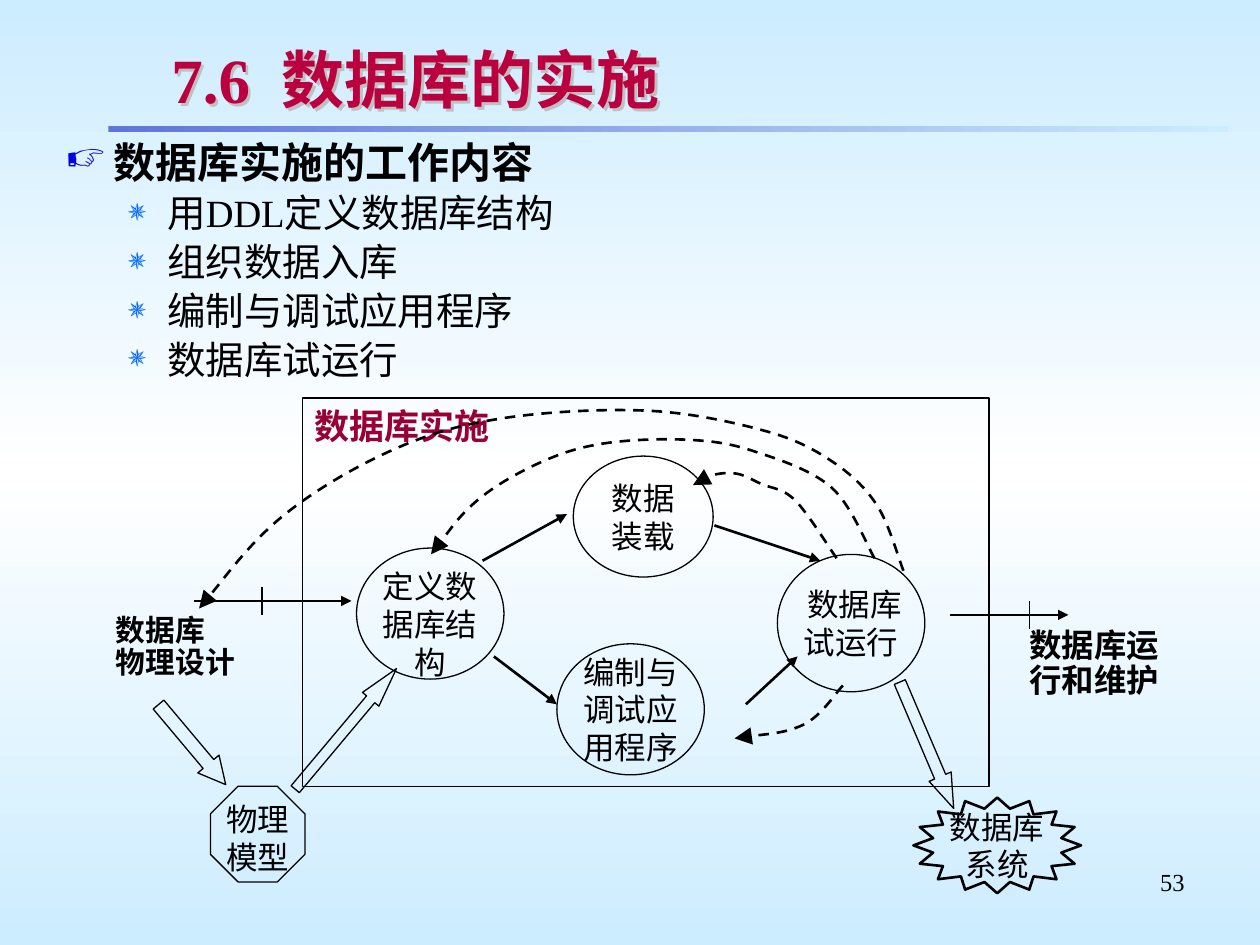
import copy
import lxml.etree
import pptx
import pptx.dml.color
import pptx.enum.dml
import pptx.enum.shapes
import pptx.enum.text
import pptx.oxml.ns
import pptx.util

Pt = pptx.util.Pt
RGB = pptx.dml.color.RGBColor
KIND = pptx.enum.shapes.MSO_SHAPE
LINE = pptx.enum.shapes.MSO_CONNECTOR.STRAIGHT
ALIGN = pptx.enum.text.PP_ALIGN
ANCHOR = pptx.enum.text.MSO_ANCHOR
DASH = pptx.enum.dml.MSO_LINE.DASH
qn = pptx.oxml.ns.qn

BLACK = RGB(0x00, 0x00, 0x00)
WHITE = RGB(0xFF, 0xFF, 0xFF)
GREY = RGB(0xC0, 0xC0, 0xC0)
SKY = RGB(0xCC, 0xEC, 0xFF)
BLUE = RGB(0x5F, 0x76, 0xD7)
RED = RGB(0xBA, 0x00, 0x3E)
WINE = RGB(0x99, 0x00, 0x33)
NAVY = RGB(0x00, 0x00, 0xE8)
AZURE = RGB(0x00, 0x66, 0xFF)

WIDE, HIGH = pptx.util.Inches(10), pptx.util.Inches(7.5)
COL, ROW = WIDE / 1000, HIGH / 750
THIN, BOLD = 0.75, 1.5

HEAD = (86, 29, 889, 76)
LIST = (42, 108, 925, 208)
CHART = (0, 300, 1000, 450)
FOOT = (717, 683, 233, 52)

TOPIC = "数据库实施的工作内容"
TASKS = ["用DDL定义数据库结构", "组织数据入库", "编制与调试应用程序", "数据库试运行"]
LEVELS = [
    dict(size=24, bold=True, left=38, hang=38, mark="☞", tint=NAVY, share=95, gap=0),
    dict(size=22, bold=False, left=81, hang=31, mark="✵", tint=AZURE, share=80, gap=4.1),
]
NODES = [
    (KIND.OVAL, (283, 135, 117, 104), ["定义数据库结构"], ANCHOR.TOP),
    (KIND.OVAL, (455, 62, 111, 96), ["数据", "装载"], ANCHOR.MIDDLE),
    (KIND.OVAL, (617, 140, 117, 109), [" 数据库", "试运行"], ANCHOR.MIDDLE),
    (KIND.OVAL, (442, 211, 117, 104), ["编制与调试应用程序"], ANCHOR.MIDDLE),
    (KIND.OCTAGON, (167, 324, 75, 76), ["物理", "模型"], ANCHOR.TOP),
]
LABELS = [
    ((92, 189, 125, 60), ["数据库", "物理设计"], 17),
    ((817, 200, 125, 66), ["数据库运", "行和维护"], 18.5),
]
FLOWS = {
    THIN: [((154, 177), (279, 177)), ((754, 188), (848, 188))],
    BOLD: [((383, 145), (450, 108)), ((567, 117), (651, 145)),
           ((392, 221), (442, 259)), ((592, 259), (633, 221))],
}
TICKS = [(208, 177), (817, 188)]
REACH = 11
BLOCKS = [
    ((111, 280, 83, 22), 50, 0.97),
    ((681, 282, 109, 19), 66.9, 1.44),
    ((212, 270, 125, 17), 310, 1.87),
]
LOOPS = {
    "load": [(664, 143), (631, 97), (604, 84), (585, 76), (566, 77), (550, 85)],
    "define": [(694, 143), (660, 87), (598, 58), (545, 49), (479, 52),
               (429, 67), (379, 97), (342, 140)],
    "design": [(717, 153), (696, 101), (660, 66), (607, 42), (514, 26),
               (399, 32), (312, 57), (224, 110), (158, 183)],
    "code": [(669, 244), (638, 275), (583, 286)],
}


def style(item, values):
    for name, value in values.items():
        setattr(item, name, value)


def spot(box, x, y):
    return round((box[0] + x) * COL), round((box[1] + y) * ROW)


def area(box, part):
    return *spot(box, *part[:2]), round(part[2] * COL), round(part[3] * ROW)


def node(host, tag, **values):
    return lxml.etree.SubElement(host, qn(tag), values)


def ramp(fill, root, tints, angle):
    fill.gradient()
    fill.gradient_angle = angle
    stops = root.xpath(".//a:gsLst")[0]
    while len(stops) < len(tints):
        stops.append(copy.deepcopy(stops[0]))
    for i, (stop, tint) in enumerate(zip(fill.gradient_stops, tints)):
        stop.position = i / (len(tints) - 1)
        stop.color.rgb = tint


def write(shape, texts, size, tint=BLACK, bold=False, align=ALIGN.LEFT,
          anchor=ANCHOR.TOP, pad=(0, 0), wrap=True, pitch=1.0):
    frame = shape.text_frame
    side, edge = round(pad[0] * COL), round(pad[1] * ROW)
    style(frame, dict(word_wrap=wrap, vertical_anchor=anchor, margin_left=side,
                      margin_right=side, margin_top=edge, margin_bottom=edge))
    frame.text = "\n".join(texts)
    for para in frame.paragraphs:
        style(para, dict(alignment=align, line_spacing=pitch))
        font = para.runs[0].font
        style(font, dict(size=Pt(size), bold=bold, name="Times New Roman"))
        font.color.rgb = tint
    return frame.paragraphs


def draw(shape, width=THIN, dash=None):
    shape.shadow.inherit = False
    shape.fill.background()
    shape.line.color.rgb = BLACK
    style(shape.line, dict(width=Pt(width), dash_style=dash))
    return shape


def tip(shape, size):
    edge = shape.element.spPr.find(qn("a:ln"))
    node(edge, "a:tailEnd", type="triangle", w=size, len=size)


def join(shapes, box, start, end, width):
    line = shapes.add_connector(LINE, *spot(box, *start), *spot(box, *end))
    line.line.color.rgb = BLACK
    line.line.width = Pt(width)
    node(line.element.spPr, "a:effectLst")
    return line


def smooth(dots):
    ends = [dots[0], *dots, dots[-1]]
    for prior, start, stop, after in zip(ends, ends[1:], ends[2:], ends[3:]):
        yield tuple(round(s + (e - p) / 6) for p, s, e in zip(prior, start, stop))
        yield tuple(round(e - (a - s) / 6) for s, e, a in zip(start, stop, after))
        yield stop


def curve(shapes, box, points):
    dots = [spot(box, *point) for point in points]
    form = shapes.build_freeform(*dots[0])
    form.add_line_segments(list(smooth(dots)), close=False)
    shape = form.convert_to_shape()
    legs = shape.element.xpath(".//a:lnTo")
    for i in range(0, len(legs), 3):
        arc = lxml.etree.Element(qn("a:cubicBezTo"))
        legs[i].addprevious(arc)
        for leg in legs[i:i + 3]:
            arc.append(leg[0])
            leg.getparent().remove(leg)
    return shape


def header(slide, box):
    bar = slide.shapes.add_shape(KIND.RECTANGLE, *area(box, (0, 71, 889, 5)))
    bar.shadow.inherit = False
    bar.line.fill.background()
    ramp(bar.fill, bar.element, [BLUE, SKY], 0)
    title = slide.shapes.title
    place = area(box, (40, 0, 824, 67))
    style(title, dict(zip(("left", "top", "width", "height"), place)))
    write(title, ["7.6  数据库的实施"], 36, RED, True,
          anchor=ANCHOR.MIDDLE, pad=(10, 4))
    title.fill.background()
    look = node(title.element.spPr, "a:effectLst")
    cast = node(look, "a:outerShdw", dist=str(Pt(2)), dir="2700000")
    node(cast, "a:srgbClr", val=str(GREY))


def listing(slide, box):
    shape = slide.shapes.add_textbox(*area(box, (0, 0, *box[2:])))
    paras = write(shape, [TOPIC, *TASKS], 22, pad=(10, 5),
                  align=ALIGN.JUSTIFY, pitch=0.9)
    for i, para in enumerate(paras):
        depth = min(i, 1)
        level = LEVELS[depth]
        props = para._p.get_or_add_pPr()
        props.set("marL", str(round(level["left"] * COL)))
        props.set("indent", str(round(-level["hang"] * COL)))
        node(node(props, "a:buClr"), "a:srgbClr", val=str(level["tint"]))
        node(props, "a:buSzPct", val=str(level["share"] * 1000))
        node(props, "a:buChar", char=level["mark"])
        style(para, dict(level=depth, space_before=Pt(level["gap"])))
        style(para.runs[0].font, dict(size=Pt(level["size"]), bold=level["bold"]))


def stages(shapes, box):
    frame = draw(shapes.add_shape(KIND.RECTANGLE, *area(box, (240, 16, 545, 308))))
    write(frame, ["数据库实施"], 20, WINE, True, pad=(10, 5))
    for kind, part, texts, anchor in NODES:
        shape = draw(shapes.add_shape(kind, *area(box, part)))
        write(shape, texts, 18, align=ALIGN.CENTER, anchor=anchor)
    for part, texts, size in LABELS:
        label = shapes.add_textbox(*area(box, part))
        write(label, texts, size, bold=True, pitch=0.9)
    burst = shapes.add_shape(KIND.STAR_16_POINT, *area(box, (725, 333, 133, 76)))
    draw(burst, BOLD).adjustments[0] = 0.39
    write(burst, ["数据库", "系统"], 18, align=ALIGN.CENTER,
          anchor=ANCHOR.MIDDLE, wrap=False)


def arrows(shapes, box):
    for width, pairs in FLOWS.items():
        for start, end in pairs:
            tip(join(shapes, box, start, end, width), "med")
    for x, y in TICKS:
        join(shapes, box, (x, y - REACH), (x, y + REACH), THIN)
    for part, turn, head in BLOCKS:
        block = draw(shapes.add_shape(KIND.RIGHT_ARROW, *area(box, part)))
        block.rotation = turn
        block.adjustments[1] = head
    for points in LOOPS.values():
        tip(draw(curve(shapes, box, points), BOLD, DASH), "lg")


def diagram(slide, box):
    shapes = slide.shapes.add_group_shape().shapes
    stages(shapes, box)
    arrows(shapes, box)


def footer(slide, box):
    shape = slide.shapes.add_textbox(*area(box, (0, 0, *box[2:])))
    write(shape, ["53"], 14, align=ALIGN.RIGHT, pad=(10, 5))


def main():
    deck = pptx.Presentation()
    style(deck, dict(slide_width=WIDE, slide_height=HIGH))
    slide = deck.slides.add_slide(deck.slide_layouts[5])
    ramp(slide.background.fill, slide.element, [SKY, WHITE, SKY], 270)
    regions = {header: HEAD, listing: LIST, diagram: CHART, footer: FOOT}
    for build, box in regions.items():
        build(slide, box)
    deck.save("out.pptx")


if __name__ == "__main__":
    main()
